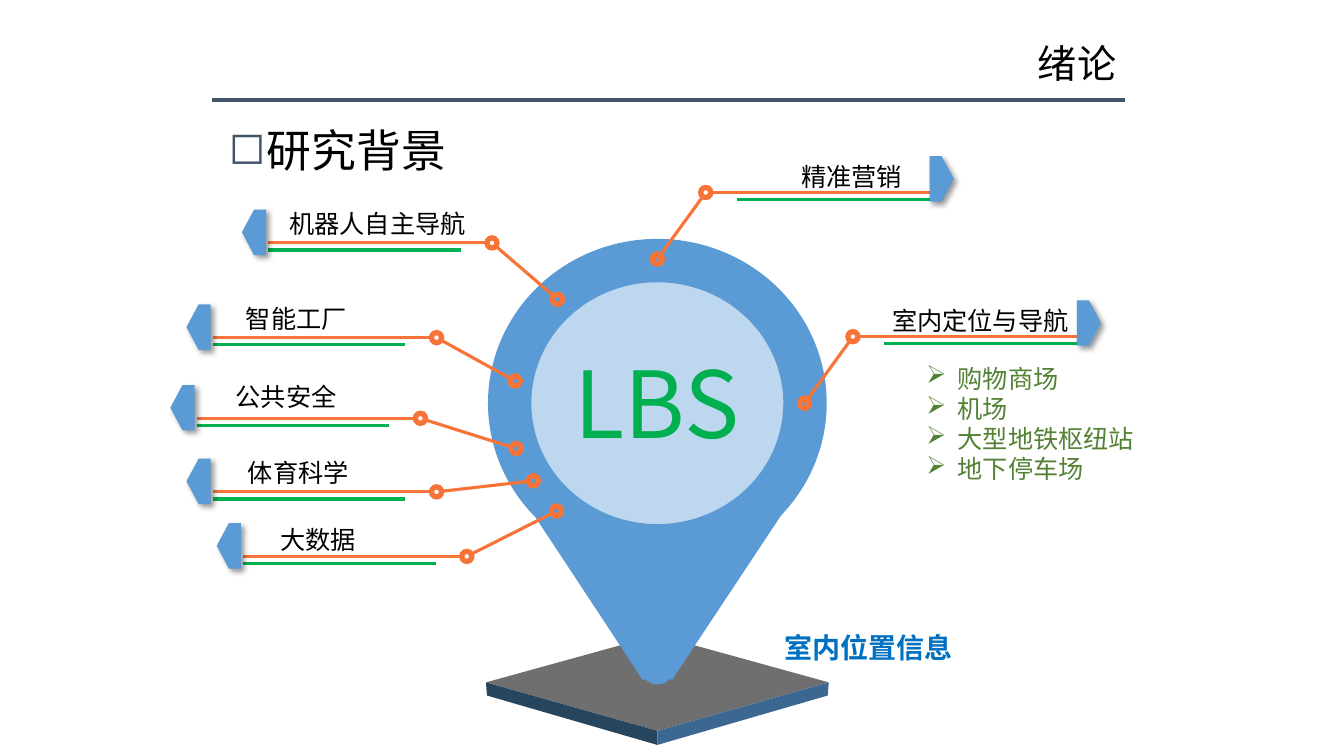
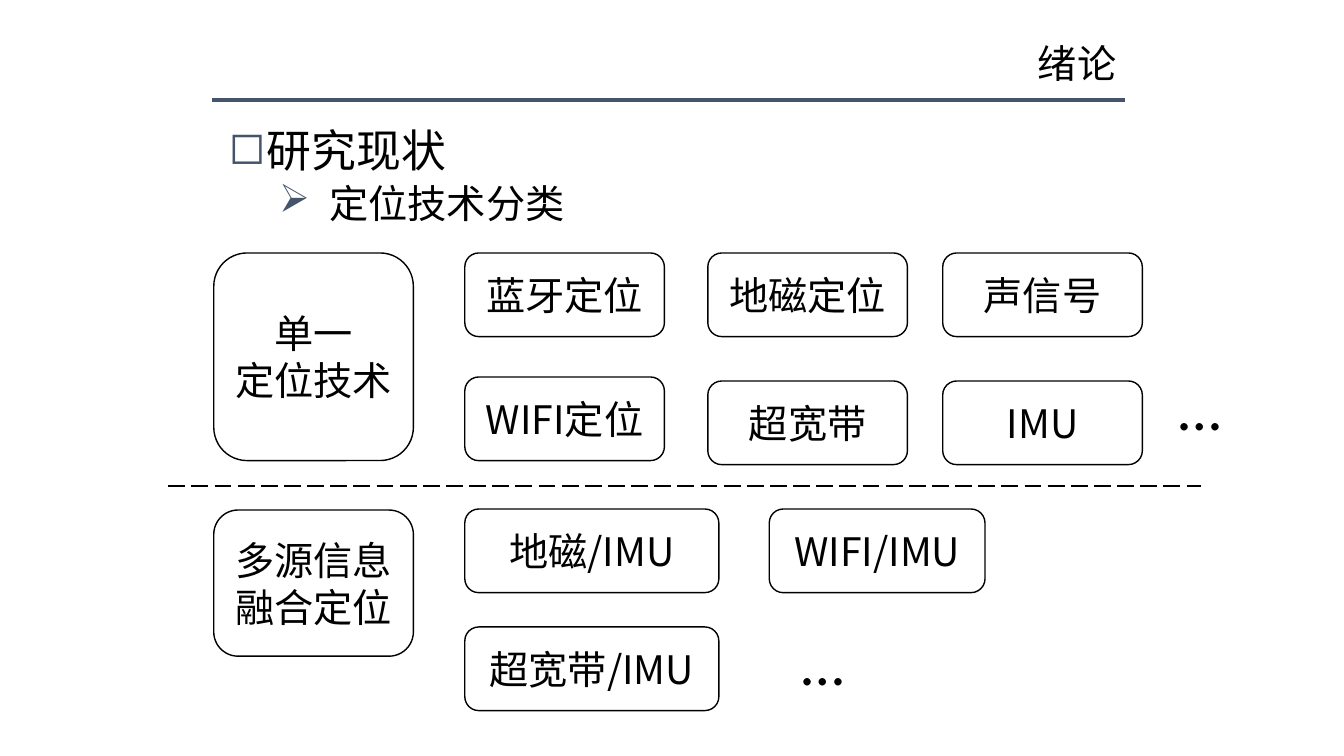
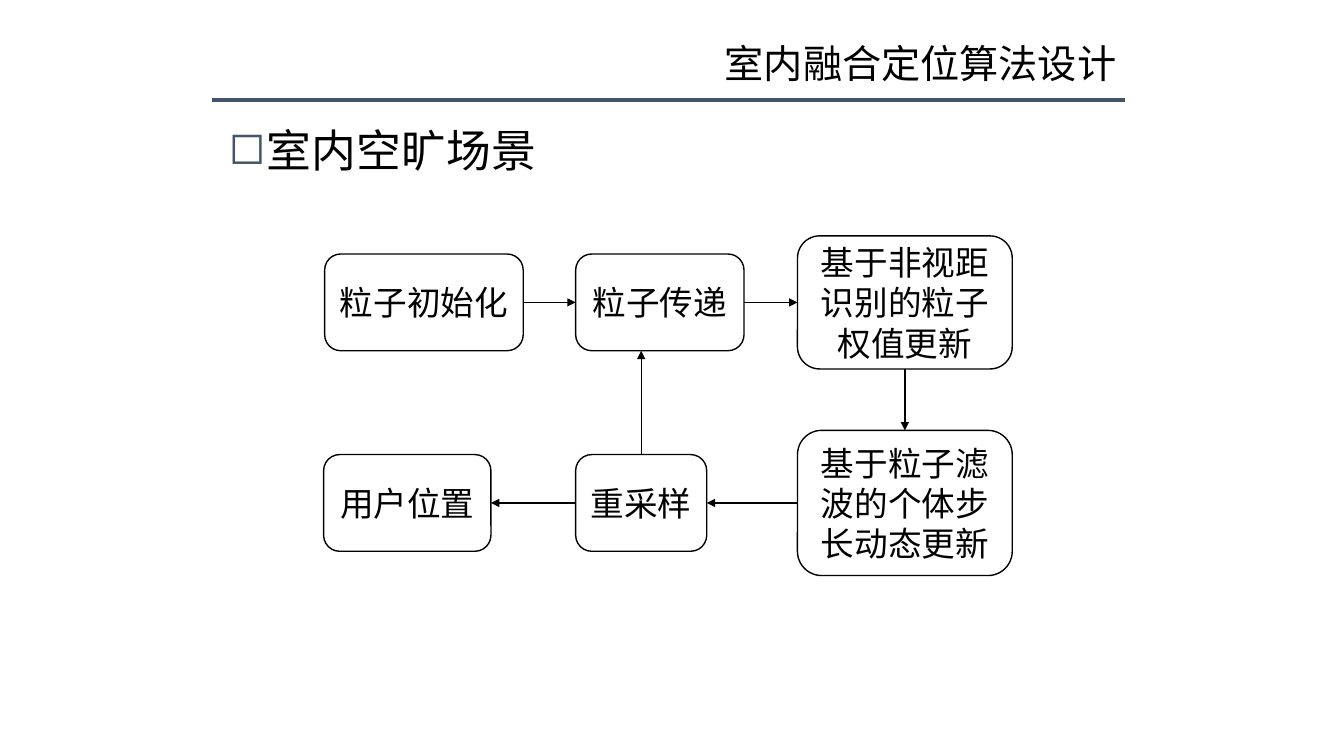
import math

import lxml.etree
import pptx
import pptx.dml.color
import pptx.enum.dml
import pptx.enum.shapes
import pptx.enum.text
import pptx.oxml.ns
import pptx.util

RGB = pptx.dml.color.RGBColor
SHAPE = pptx.enum.shapes.MSO_SHAPE
ALIGN = pptx.enum.text.PP_ALIGN
ANCHOR = pptx.enum.text.MSO_ANCHOR
qn = pptx.oxml.ns.qn

SCALE = 9144
BLACK = RGB(0, 0, 0)
WHITE = RGB(255, 255, 255)
SLATE = RGB(0x44, 0x54, 0x6A)
BLUE = RGB(0x5B, 0x9B, 0xD5)
PALE_BLUE = RGB(0xBD, 0xD7, 0xEE)
DEEP_BLUE = RGB(0, 0x70, 0xC0)
ORANGE = RGB(0xF7, 0x74, 0x39)
GREEN = RGB(0, 0xB0, 0x50)
OLIVE = RGB(0x54, 0x82, 0x35)
GREY = RGB(0x6F, 0x6F, 0x6F)
SIDE_DARK = RGB(0x27, 0x45, 0x5D)
SIDE_LIGHT = RGB(0x3C, 0x67, 0x91)

SC = "Noto Sans CJK SC"
KR = "Noto Sans CJK KR"
LATIN = "Calibri"
TOP, LEFT, BOTTOM, RIGHT = range(4)
DOT = 14


def px(n):
    return int(round(n * SCALE))


def sub(parent, tag, **attrs):
    return lxml.etree.SubElement(parent, qn(tag), {k: str(v) for k, v in attrs.items()})


def set_all(obj, values):
    for name, value in values.items():
        setattr(obj, name, value)


def add_bullet(p, char, margin, indent, color=None):
    pPr = p._p.get_or_add_pPr()
    pPr.set("marL", str(px(margin)))
    pPr.set("indent", str(px(-indent)))
    if color is not None:
        sub(sub(pPr, "a:buClr"), "a:srgbClr", val=color)
    sub(pPr, "a:buChar", char=char)


def write(p, text, size, color=BLACK, face=SC, bold=False, **para):
    set_all(p, para)
    r = p.add_run()
    r.text = text
    set_all(r.font, {"size": pptx.util.Pt(size), "name": face, "bold": bold})
    r.font.color.rgb = color
    sub(r._r.get_or_add_rPr(), "a:ea", typeface=face)


def paragraphs(tf, count):
    return [tf.paragraphs[0]] + [tf.add_paragraph() for _ in range(count - 1)]


def add_text(slide, x, y, w, h, lines, size, anchor=ANCHOR.TOP, **style):
    tf = slide.shapes.add_textbox(px(x), px(y), px(w), px(h)).text_frame
    set_all(tf, {"word_wrap": True, "vertical_anchor": anchor})
    ps = paragraphs(tf, len(lines))
    for p, text in zip(ps, lines):
        write(p, text, size, **style)
    return ps


def paint(s, fill, line=None):
    s.shadow.inherit = False
    s.fill.solid()
    s.fill.fore_color.rgb = fill
    if line is None:
        s.line.fill.background()
    else:
        s.line.color.rgb = line
        s.line.width = pptx.util.Pt(1)
    return s


def add_shape(slide, kind, x, y, w, h, fill, line=None):
    return paint(slide.shapes.add_shape(kind, px(x), px(y), px(w), px(h)), fill, line)


def add_polygon(slide, points, fill):
    fb = slide.shapes.build_freeform(*points[0], scale=SCALE)
    fb.add_line_segments(points[1:], close=True)
    paint(fb.convert_to_shape(), fill)


def fill_text(s, lines, size, color=BLACK, face=SC):
    tf = s.text_frame
    set_all(tf, {"word_wrap": True, "vertical_anchor": ANCHOR.MIDDLE})
    for p, text in zip(paragraphs(tf, len(lines)), lines):
        write(p, text, size, color, face, alignment=ALIGN.CENTER)


def add_box(slide, x, y, w, h, text, size):
    s = add_shape(slide, SHAPE.ROUNDED_RECTANGLE, x, y, w, h, WHITE, BLACK)
    fill_text(s, text.split("\n"), size)
    return s


def add_line(slide, x1, y1, x2, y2, color, width, dash=None, arrow=False):
    s = slide.shapes.add_connector(
        pptx.enum.shapes.MSO_CONNECTOR.STRAIGHT, px(x1), px(y1), px(x2), px(y2)
    )
    s.line.color.rgb = color
    s.line.width = pptx.util.Pt(width)
    if dash is not None:
        s.line.dash_style = dash
    if arrow:
        sub(s.line._get_or_add_ln(), "a:tailEnd", type="triangle")
    sub(s._element.spPr, "a:effectLst")
    return s


def add_dot(slide, cx, cy):
    s = add_shape(slide, SHAPE.DONUT, cx - DOT / 2, cy - DOT / 2, DOT, DOT, ORANGE, ORANGE)
    s.adjustments[0] = 0.288


def add_tag(slide, x, y, flip):
    s = add_shape(slide, SHAPE.PENTAGON, x, y, 24, 45, BLUE)
    spPr = s._element.spPr
    if flip:
        spPr.find(qn("a:xfrm")).set("flipH", "1")
    shadow = sub(
        spPr.find(qn("a:effectLst")), "a:outerShdw",
        blurRad=pptx.util.Pt(4), dist=pptx.util.Pt(3), dir=45 * 60000, rotWithShape=0,
    )
    sub(sub(shadow, "a:srgbClr", val=BLACK), "a:alpha", val=40000)


def add_callout(slide, pin, node, side, text, text_x, text_y):
    (px0, py0), (cx, cy) = pin, node
    length = math.dist(pin, node)
    ux, uy = (cx - px0) / length, (cy - py0) / length
    start = 0 if side > 0 else DOT / 2
    end = length - DOT / 2
    far = cx + side * 222
    add_dot(slide, *pin)
    add_line(slide, px0 + ux * start, py0 + uy * start, px0 + ux * end, py0 + uy * end, ORANGE, 2.25)
    add_dot(slide, *node)
    add_line(slide, cx + side * DOT / 2, cy, far, cy, ORANGE, 2.25)
    add_line(slide, cx + side * 31, cy + 7, far, cy + 7, GREEN, 2.25)
    if side > 0:
        add_tag(slide, far, cy - 36, False)
    else:
        add_tag(slide, far - 26, cy - 33, True)
    add_text(slide, text_x, text_y, 210, 40, [text], 18)


def add_page(prs, title, heading, subheading=None):
    slide = prs.slides.add_slide(prs.slide_layouts[6])
    add_line(slide, 210, 99, 1116, 99, SLATE, 3)
    add_text(slide, 217, 30, 900, 61, [title], 28, ANCHOR.BOTTOM,
             alignment=ALIGN.RIGHT, line_spacing=0.9)
    p, = add_text(slide, 217, 123, 900, 110, [heading], 32,
                  line_spacing=0.9, space_before=pptx.util.Pt(10))
    add_bullet(p, "◻", 38, 38, SLATE)
    if subheading:
        tf = slide.shapes[-1].text_frame
        p = tf.add_paragraph()
        write(p, subheading, 28, line_spacing=0.9, space_before=pptx.util.Pt(5))
        add_bullet(p, "➢", 100, 50, SLATE)
    return slide


def add_map_pin(slide):
    add_polygon(slide, [(482, 677), (652, 630), (822, 677), (652, 725)], GREY)
    add_polygon(slide, [(482, 677), (652, 725), (652, 739), (483, 690)], SIDE_DARK)
    add_polygon(slide, [(822, 677), (652, 725), (652, 739), (821, 690)], SIDE_LIGHT)
    add_shape(slide, SHAPE.OVAL, 635, 644, 34, 35, BLUE)
    s = add_shape(slide, SHAPE.OVAL, 508, 260, 287, 277, PALE_BLUE)
    fill_text(s, ["LBS"], 66, GREEN, KR)
    s = add_shape(slide, SHAPE.DONUT, 484, 237, 336, 326, BLUE)
    s.adjustments[0] = 0.132
    add_line(slide, 652, 665, 530, 480, BLUE, 25)
    add_line(slide, 772, 484, 652, 665, BLUE, 25)
    s = add_shape(slide, SHAPE.ISOSCELES_TRIANGLE, 581, 547, 135, 109, BLUE)
    s.rotation = 180


def add_background(prs):
    slide = add_page(prs, "绪论", "研究背景")
    add_map_pin(slide)
    for callout in [
        ((652, 257), (700, 191), 1, "精准营销", 785, 155),
        ((553, 297), (488, 241), -1, "机器人自主导航", 277, 202),
        ((798, 400), (846, 334), 1, "室内定位与导航", 875, 298),
        ((511, 378), (433, 335), -1, "智能工厂", 234, 296),
        ((512, 445), (417, 415), -1, "公共安全", 224, 373),
        ((529, 477), (433, 488), -1, "体育科学", 236, 449),
        ((552, 507), (463, 552), -1, "大数据", 268, 515),
    ]:
        add_callout(slide, *callout)
    places = ["购物商场", "机场", "大型地铁枢纽站", "地下停车场"]
    for p in add_text(slide, 909, 355, 313, 131, places, 18, color=OLIVE):
        add_bullet(p, "➢", 31, 31)
    add_text(slide, 768, 621, 190, 44, ["室内位置信息"], 20, color=DEEP_BLUE, bold=True)


def add_status(prs):
    slide = add_page(prs, "绪论", "研究现状", "定位技术分类")
    for x, y, w, h, text in [
        (212, 251, 198, 206, "单一\n定位技术"),
        (461, 251, 198, 83, "蓝牙定位"),
        (702, 251, 198, 83, "地磁定位"),
        (935, 251, 198, 83, "声信号"),
        (461, 374, 198, 83, "WIFI定位"),
        (702, 378, 198, 83, "超宽带"),
        (935, 378, 198, 83, "IMU"),
        (212, 506, 198, 145, "多源信息\n融合定位"),
        (461, 505, 252, 83, "地磁/IMU"),
        (763, 505, 214, 83, "WIFI/IMU"),
        (461, 622, 252, 83, "超宽带/IMU"),
    ]:
        add_box(slide, x, y, w, h, text, 28)
    for x, y in [(785, 614), (1159, 361)]:
        add_text(slide, x, y, 80, 84, ["…"], 44, face=LATIN)
    add_line(slide, 167, 482, 1191, 482, BLACK, 1.5, pptx.enum.dml.MSO_LINE.LONG_DASH)


def site(s, side):
    return [
        (s.left + s.width / 2, s.top),
        (s.left, s.top + s.height / 2),
        (s.left + s.width / 2, s.top + s.height),
        (s.left + s.width, s.top + s.height / 2),
    ][side]


def join(slide, a, a_side, b, b_side):
    ends = [n / SCALE for n in site(a, a_side) + site(b, b_side)]
    s = add_line(slide, *ends, BLACK, 1, arrow=True)
    s.begin_connect(a, a_side)
    s.end_connect(b, b_side)


def add_algorithm(prs):
    slide = add_page(prs, "室内融合定位算法设计", "室内空旷场景")
    init, transfer, weight, resample, stride, user = [
        add_box(slide, *box, 24) for box in [
            (322, 252, 197, 96, "粒子初始化"),
            (571, 252, 167, 96, "粒子传递"),
            (791, 234, 213, 132, "基于非视距识别的粒子权值更新"),
            (571, 451, 130, 96, "重采样"),
            (791, 427, 213, 144, "基于粒子滤波的个体步长动态更新"),
            (321, 451, 166, 96, "用户位置"),
        ]
    ]
    for link in [
        (init, RIGHT, transfer, LEFT),
        (transfer, RIGHT, weight, LEFT),
        (weight, BOTTOM, stride, TOP),
        (stride, LEFT, resample, RIGHT),
        (resample, LEFT, user, RIGHT),
    ]:
        join(slide, *link)
    loop = add_line(slide, 636, 451, 636, 348, BLACK, 1, arrow=True)
    loop.begin_connect(resample, TOP)


def main():
    prs = pptx.Presentation()
    prs.slide_width = px(1333)
    prs.slide_height = px(750)
    add_background(prs)
    add_status(prs)
    add_algorithm(prs)
    prs.save("out.pptx")


if __name__ == "__main__":
    main()
